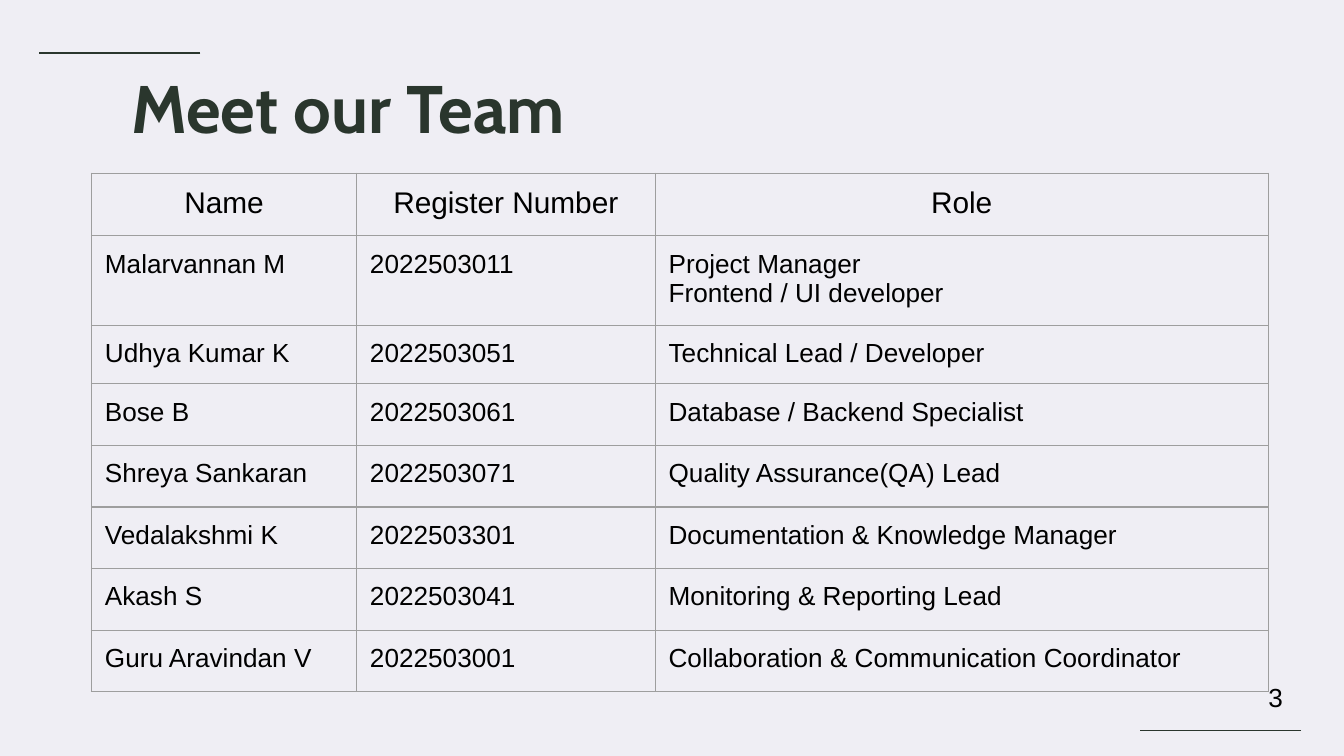
from typing import NamedTuple

from lxml import etree
from pptx import Presentation
from pptx import util as u
from pptx.dml.color import RGBColor
from pptx.enum import shapes, text
from pptx.oxml import ns

BACKGROUND = RGBColor(0xEF, 0xEE, 0xF4)
DARK_GREEN = RGBColor(0x2A, 0x36, 0x2D)
BLACK = RGBColor(0, 0, 0)
GRID = RGBColor(0x9E, 0x9E, 0x9E)
INSET = u.Pt(7.2)


class Rule(NamedTuple):
    start: float
    end: float
    y: float


class Member(NamedTuple):
    name: str
    register_number: str
    role: str
    height: float = 33


RULES = [Rule(107.3, 21, 28.5), Rule(697, 610.5, 391.5)]
COLUMN_WIDTHS = [142, 160, 328.5]
HEADER = Member("Name", "Register Number", "Role")
TEAM = [
    Member("Malarvannan M", "2022503011", "Project Manager\nFrontend / UI developer", 48),
    Member("Udhya Kumar K", "2022503051", "Technical Lead / Developer", 31),
    Member("Bose B", "2022503061", "Database / Backend Specialist"),
    Member("Shreya Sankaran", "2022503071", "Quality Assurance(QA) Lead"),
    Member("Vedalakshmi K", "2022503301", "Documentation & Knowledge Manager"),
    Member("Akash S", "2022503041", "Monitoring & Reporting Lead"),
    Member("Guru Aravindan V", "2022503001", "Collaboration & Communication Coordinator"),
]


def format_text(frame, font: str, size: float, color: RGBColor, align, bold: bool = False) -> None:
    for paragraph in frame.paragraphs:
        paragraph.alignment = align
        for run in paragraph.runs:
            run.font.name = font
            run.font.size = u.Pt(size)
            run.font.bold = bold
            run.font.color.rgb = color


def draw_rule(slide, rule: Rule) -> None:
    line = slide.shapes.add_connector(
        shapes.MSO_CONNECTOR.STRAIGHT,
        u.Pt(rule.start), u.Pt(rule.y), u.Pt(rule.end), u.Pt(rule.y))
    line.line.color.rgb = DARK_GREEN
    line.line.width = u.Pt(0.75)
    etree.SubElement(line._element.spPr, ns.qn("a:effectLst"))


def add_borders(cell) -> None:
    properties = cell._tc.get_or_add_tcPr()
    for side in ("lnL", "lnR", "lnT", "lnB"):
        border = etree.SubElement(properties, ns.qn(f"a:{side}"), w=str(u.Pt(0.75)))
        fill = etree.SubElement(border, ns.qn("a:solidFill"))
        etree.SubElement(fill, ns.qn("a:srgbClr"), val=str(GRID))


def draw_cell(cell, content: str, size: float, align) -> None:
    cell.text_frame.text = content
    cell.margin_left = cell.margin_right = INSET
    cell.margin_top = cell.margin_bottom = INSET
    format_text(cell.text_frame, "Arial", size, BLACK, align)
    add_borders(cell)
    cell.fill.background()


def draw_team_table(slide) -> None:
    rows = [HEADER, *TEAM]
    table = slide.shapes.add_table(
        len(rows), len(COLUMN_WIDTHS), u.Pt(49), u.Pt(92.75),
        u.Pt(sum(COLUMN_WIDTHS)), u.Pt(sum(row.height for row in rows))).table
    table.first_row = table.horz_banding = False
    for column, width in zip(table.columns, COLUMN_WIDTHS):
        column.width = u.Pt(width)
    for index, member in enumerate(rows):
        table.rows[index].height = u.Pt(member.height)
        is_header = member is HEADER
        align = text.PP_ALIGN.CENTER if is_header else text.PP_ALIGN.LEFT
        for column, content in enumerate(member[:3]):
            draw_cell(table.cell(index, column), content, 16 if is_header else 14, align)


def draw_title(slide) -> None:
    title = slide.shapes.title
    title.left, title.top, title.width, title.height = map(u.Pt, (4.3, 33.8, 364.3, 52.6))
    title.fill.solid()
    title.fill.fore_color.rgb = BACKGROUND
    frame = title.text_frame
    frame.text = "Meet our Team"
    frame.word_wrap = True
    frame.auto_size = text.MSO_AUTO_SIZE.NONE
    frame.vertical_anchor = text.MSO_ANCHOR.MIDDLE
    frame.margin_left = frame.margin_right = INSET
    frame.margin_top = frame.margin_bottom = INSET
    frame.paragraphs[0].line_spacing = 0.9
    format_text(frame, "Cabin", 36, DARK_GREEN, text.PP_ALIGN.CENTER, bold=True)


def draw_page_number(slide) -> None:
    box = slide.shapes.add_textbox(u.Pt(672.5), u.Pt(361.5), u.Pt(24.5), u.Pt(24.5))
    frame = box.text_frame
    frame.text = "3"
    frame.word_wrap = True
    frame.auto_size = text.MSO_AUTO_SIZE.SHAPE_TO_FIT_TEXT
    format_text(frame, "Arial", 14, BLACK, text.PP_ALIGN.LEFT)


def main() -> None:
    presentation = Presentation()
    presentation.slide_width = u.Pt(720)
    presentation.slide_height = u.Pt(405)

    # Title-only slide with a plain background
    slide = presentation.slides.add_slide(presentation.slide_layouts[5])
    slide.background.fill.solid()
    slide.background.fill.fore_color.rgb = BACKGROUND

    # Corner rules
    for rule in RULES:
        draw_rule(slide, rule)

    # Title, page number and team table
    draw_title(slide)
    draw_page_number(slide)
    draw_team_table(slide)

    presentation.save("out.pptx")


if __name__ == "__main__":
    main()
